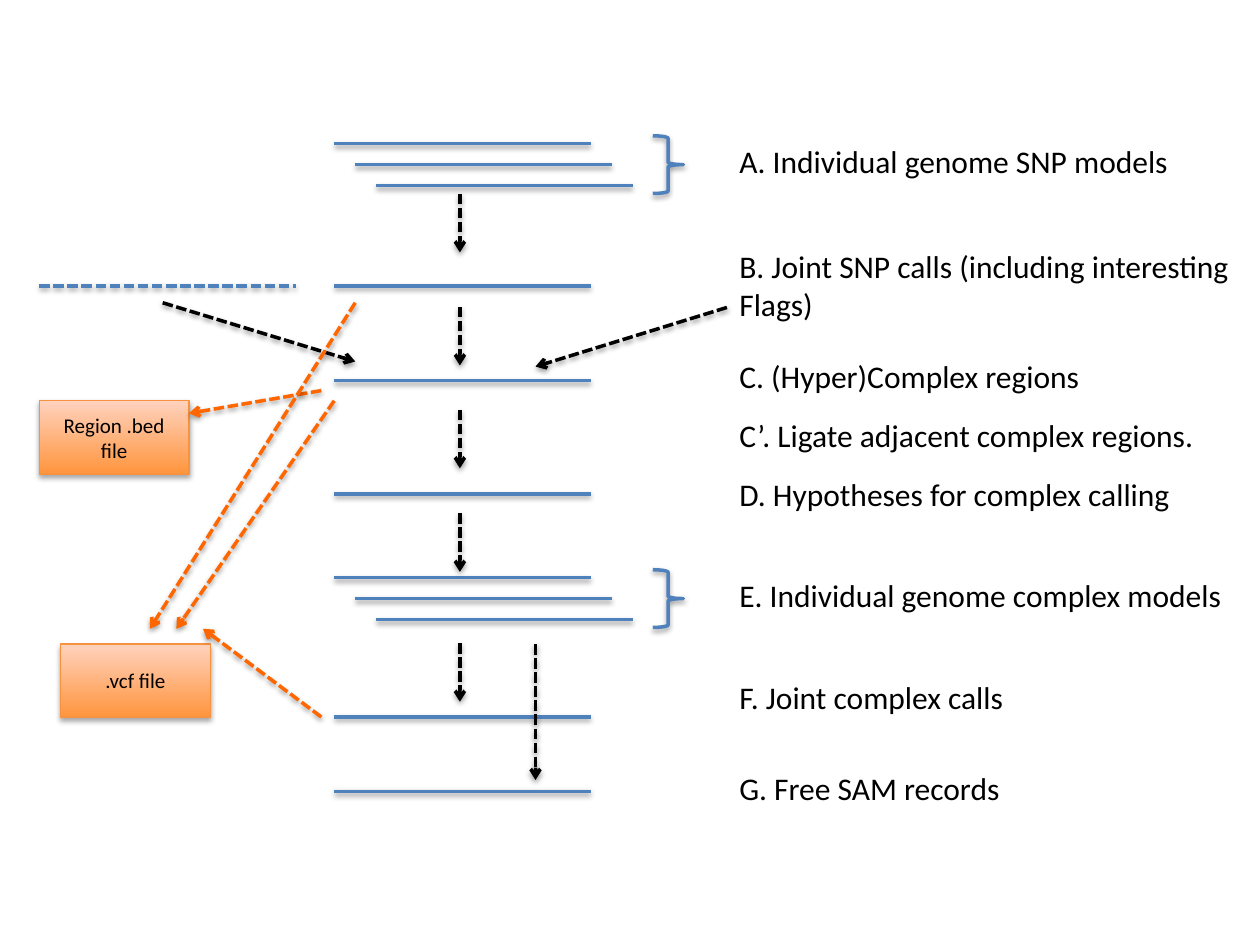
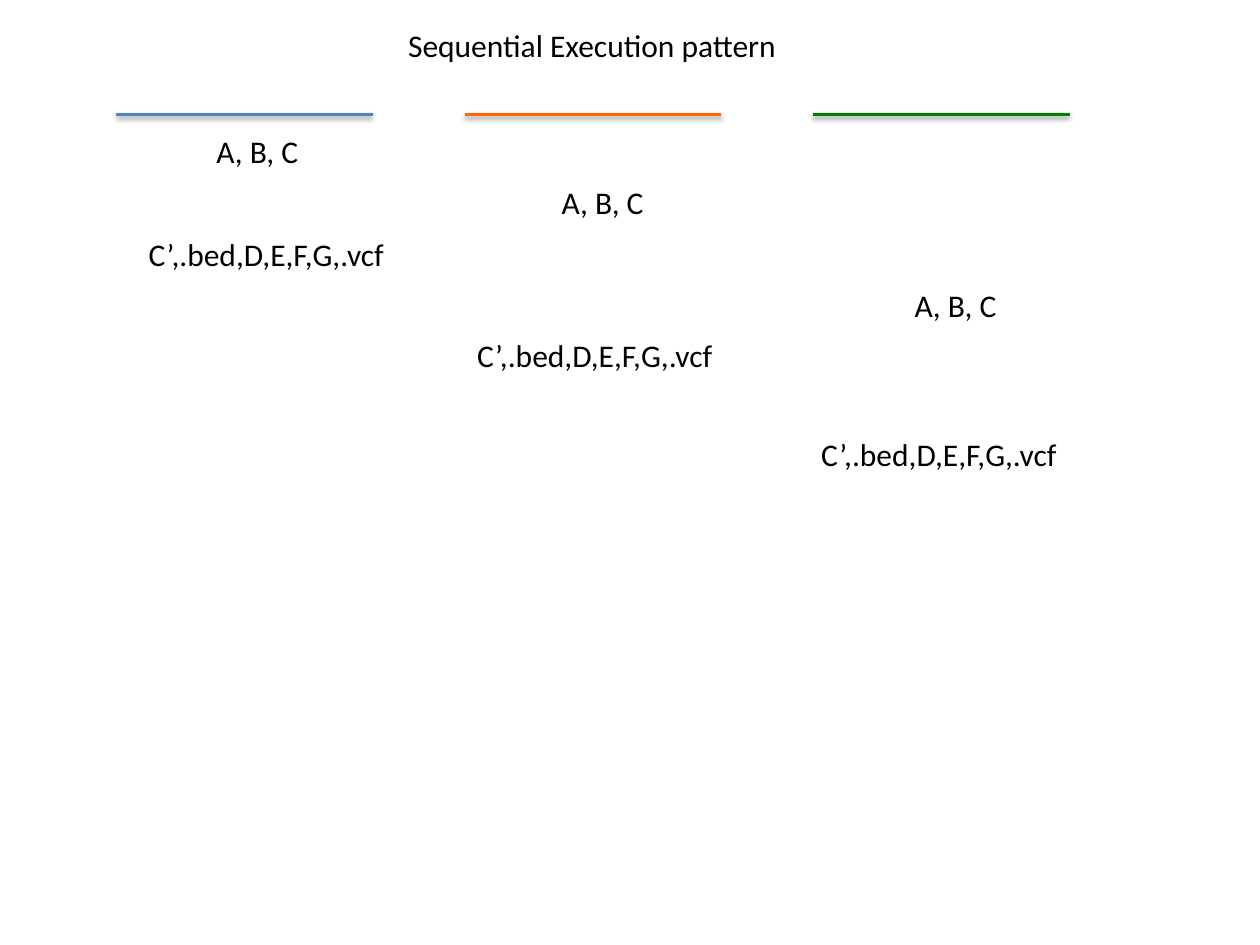
from dataclasses import dataclass

from lxml.etree import SubElement
from pptx import Presentation
from pptx.dml.color import RGBColor
from pptx.enum.dml import MSO_LINE
from pptx.enum.shapes import MSO_CONNECTOR, MSO_SHAPE
from pptx.enum.text import MSO_ANCHOR, MSO_AUTO_SIZE, PP_ALIGN
from pptx.oxml.ns import qn
from pptx.util import Pt


@dataclass(frozen=True)
class Theme:
    """Colours, type and stroke sizes shared by both slides."""
    blue: str = "4F81BD"
    orange: str = "FF6600"
    green: str = "008000"
    black: str = "000000"
    file_edge: str = "F69240"
    file_bottom: str = "FF953E"
    file_top: str = "FFD2BD"
    font: str = "Calibri"
    label_size: float = 18
    file_size: float = 12
    stroke: float = 2
    rail_length: float = 146.6
    label_height: float = 29


THEME = Theme()

RAIL_LEFT = 191
STACK_STEP = 12
LABEL_LEFT = 415.4
STEP_X, STEP_LENGTH = 262.8, 33.6

# top, width, text
LABELS = [
    (77.8, 262, "A. Individual genome SNP models"),
    (137.5, 298, "B. Joint SNP calls (including interesting\nFlags)"),
    (200.2, 212, "C. (Hyper)Complex regions"),
    (234, 279.4, "C’. Ligate adjacent complex regions."),
    (267.8, 264.2, "D. Hypotheses for complex calling"),
    (325.4, 293, "E. Individual genome complex models"),
    (383.8, 169.2, "F. Joint complex calls"),
    (435.6, 166.3, "G. Free SAM records"),
]
STACK_TOPS = [82, 330]
SINGLE_RAILS = [163.4, 217.4, 282.2, 409.7, 452.2]
STEP_TOPS = [110.6, 175.2, 234, 293.2, 367.4]
# from x, from y, to x, to y
INPUT_ARROWS = [
    (93, 173, 203, 206.6),
    (415.4, 175.7, 306, 209.5),
    (306, 368, 306, 445.7),
]
FILE_ARROWS = [
    (183.6, 223.2, 108, 236.2),
    (203, 173, 85.7, 359.3),
    (191, 229, 100.8, 359.3),
    (183.6, 409.7, 116, 359.3),
]

COLUMN_LEFT, COLUMN_STEP, COLUMN_TOP = 66.4, 199.1, 65.5
FIRST_PASS = "A, B, C"
SECOND_PASS = "C’,.bed,D,E,F,G,.vcf"
# colour, (left, top) of the first pass, (left, top) of the second pass
COLUMNS = [
    (THEME.blue, (116.6, 72), (77.8, 130.6)),
    (THEME.orange, (313.9, 101.3), (265.5, 188.6)),
    (THEME.green, (515.5, 159.8), (462.2, 244.8)),
]


def rgb(code):
    """Turn a hex code into a colour."""
    return RGBColor.from_string(code)


def add_shadow(item, distance=1.6, opacity=38):
    """Give a shape or connector a soft shadow falling straight down."""
    properties = item._element.spPr
    effects = properties.find(qn("a:effectLst"))
    if effects is None:
        effects = SubElement(properties, qn("a:effectLst"))
    shadow = SubElement(effects, qn("a:outerShdw"), blurRad=str(Pt(3.1)),
                        dist=str(Pt(distance)), dir="5400000", rotWithShape="0")
    colour = SubElement(shadow, qn("a:srgbClr"), val=THEME.black)
    SubElement(colour, qn("a:alpha"), val=str(opacity * 1000))


def write(frame, text, size=THEME.label_size, align=PP_ALIGN.LEFT,
          anchor=MSO_ANCHOR.TOP, wrap=False):
    """Fill a text frame, one paragraph a line, in the given format."""
    frame.word_wrap = wrap
    frame.auto_size = MSO_AUTO_SIZE.NONE if wrap else MSO_AUTO_SIZE.SHAPE_TO_FIT_TEXT
    frame.vertical_anchor = anchor
    frame.text = text
    for para in frame.paragraphs:
        para.alignment = align
        for span in para.runs:
            span.font.name = THEME.font
            span.font.size = Pt(size)
            span.font.color.rgb = rgb(THEME.black)


def add_label(page, left, top, width, text):
    """Place a text label whose height follows its number of lines."""
    height = THEME.label_height + 21.6 * text.count("\n")
    box = page.shapes.add_textbox(Pt(left), Pt(top), Pt(width), Pt(height))
    write(box.text_frame, text)


def add_line(page, start, end, color, dashed=False):
    """Draw a shadowed straight line."""
    line = page.shapes.add_connector(
        MSO_CONNECTOR.STRAIGHT, *(Pt(value) for value in (*start, *end)))
    line.line.color.rgb = rgb(color)
    line.line.width = Pt(THEME.stroke)
    if dashed:
        line.line.dash_style = MSO_LINE.SQUARE_DOT
    add_shadow(line)
    return line


def add_rail(page, left, top, color=THEME.blue, dashed=False):
    """Draw one horizontal genome rail."""
    add_line(page, (left, top), (left + THEME.rail_length, top), color, dashed)


def add_arrow(page, start, end, color=THEME.black):
    """Draw a dashed line with an open arrowhead at its end."""
    arrow = add_line(page, start, end, color, dashed=True)
    SubElement(arrow.line._get_or_add_ln(), qn("a:tailEnd"), type="arrow")


def add_stack(page, top):
    """Draw three staggered rails closed by a brace."""
    for index in range(3):
        offset = index * STACK_STEP
        add_rail(page, RAIL_LEFT + offset, top + offset)
    brace = page.shapes.add_shape(
        MSO_SHAPE.RIGHT_BRACE, Pt(373), Pt(top - 4.4), Pt(17.5), Pt(33))
    brace.shadow.inherit = False
    brace.fill.background()
    brace.line.color.rgb = rgb(THEME.blue)
    brace.line.width = Pt(THEME.stroke)
    add_shadow(brace)


def add_file(page, left, top, text):
    """Draw an orange box for an output file."""
    box = page.shapes.add_shape(
        MSO_SHAPE.RECTANGLE, Pt(left), Pt(top), Pt(85.7), Pt(41.8))
    box.shadow.inherit = False
    box.fill.gradient()
    box.fill.gradient_angle = 90
    for stop, color, position in zip(
            box.fill.gradient_stops, (THEME.file_bottom, THEME.file_top), (0, 1)):
        stop.color.rgb = rgb(color)
        stop.position = position
    box.line.color.rgb = rgb(THEME.file_edge)
    box.line.width = Pt(0.75)
    add_shadow(box, distance=1.8, opacity=35)
    write(box.text_frame, text, size=THEME.file_size, align=PP_ALIGN.CENTER,
          anchor=MSO_ANCHOR.MIDDLE, wrap=True)


def build_pipeline(deck):
    """Build the slide with the calling pipeline."""
    page = deck.slides.add_slide(deck.slide_layouts[6])
    for top in STACK_TOPS:
        add_stack(page, top)
    for top in SINGLE_RAILS:
        add_rail(page, RAIL_LEFT, top)
    add_rail(page, 22.4, SINGLE_RAILS[0], dashed=True)
    for top, width, text in LABELS:
        add_label(page, LABEL_LEFT, top, width, text)
    add_file(page, 22.4, 229, "Region .bed file")
    add_file(page, 34.5, 368, ".vcf file")
    for top in STEP_TOPS:
        add_arrow(page, (STEP_X, top), (STEP_X, top + STEP_LENGTH))
    for color, arrows in ((THEME.black, INPUT_ARROWS), (THEME.orange, FILE_ARROWS)):
        for arrow in arrows:
            add_arrow(page, arrow[:2], arrow[2:], color)


def build_execution(deck):
    """Build the slide with the order of execution over three columns."""
    page = deck.slides.add_slide(deck.slide_layouts[5])
    title = page.shapes.title
    title.left, title.top = Pt(226), Pt(11.5)
    title.width, title.height = Pt(227.5), Pt(THEME.label_height)
    write(title.text_frame, "Sequential Execution pattern")
    for index, (color, first, second) in enumerate(COLUMNS):
        add_rail(page, COLUMN_LEFT + index * COLUMN_STEP, COLUMN_TOP, color)
        add_label(page, *first, 62, FIRST_PASS)
        add_label(page, *second, 154.8, SECOND_PASS)


def main():
    """Build and save the deck."""
    deck = Presentation()
    deck.slide_width, deck.slide_height = Pt(720), Pt(540)
    build_pipeline(deck)
    build_execution(deck)
    deck.save("out.pptx")


main()
